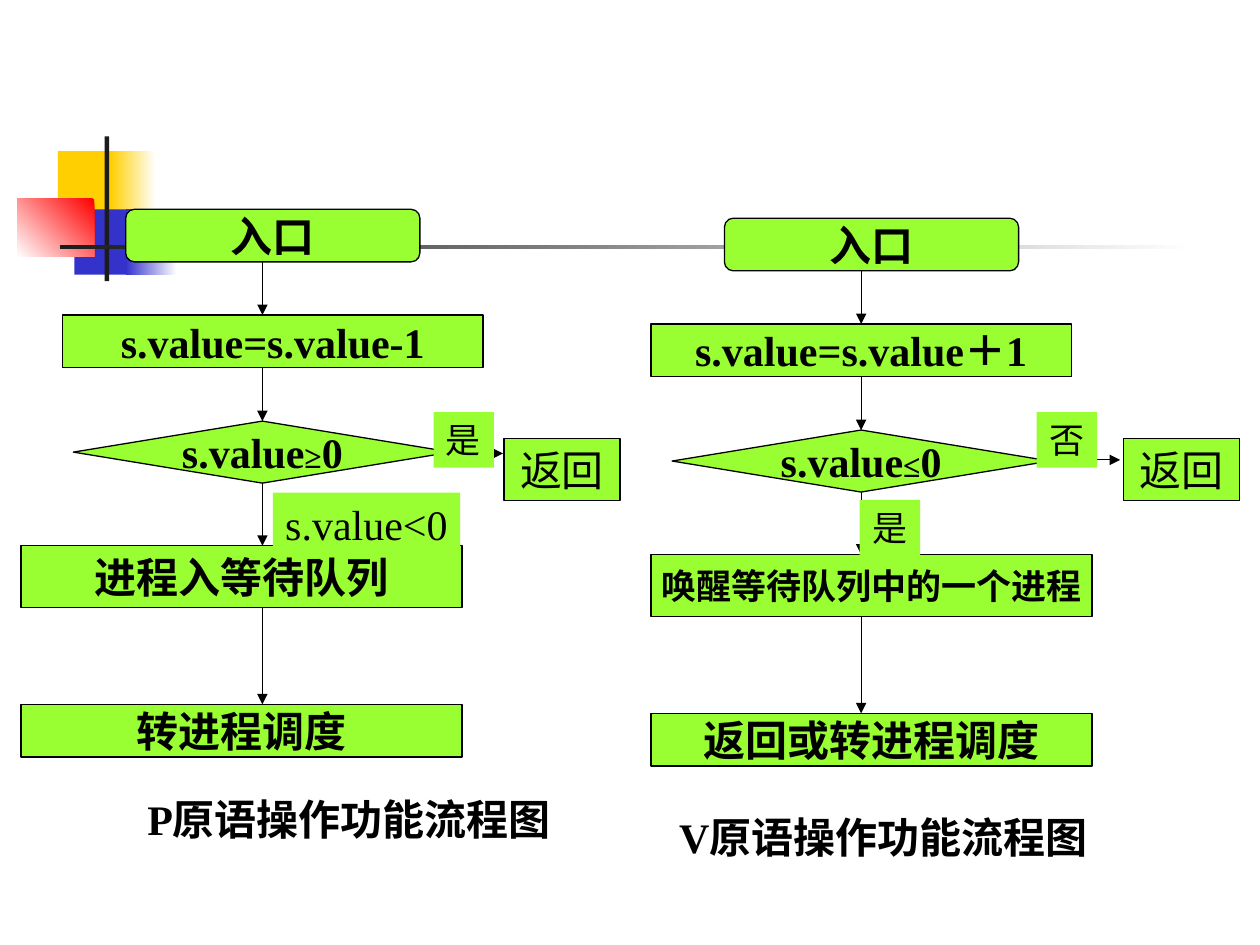
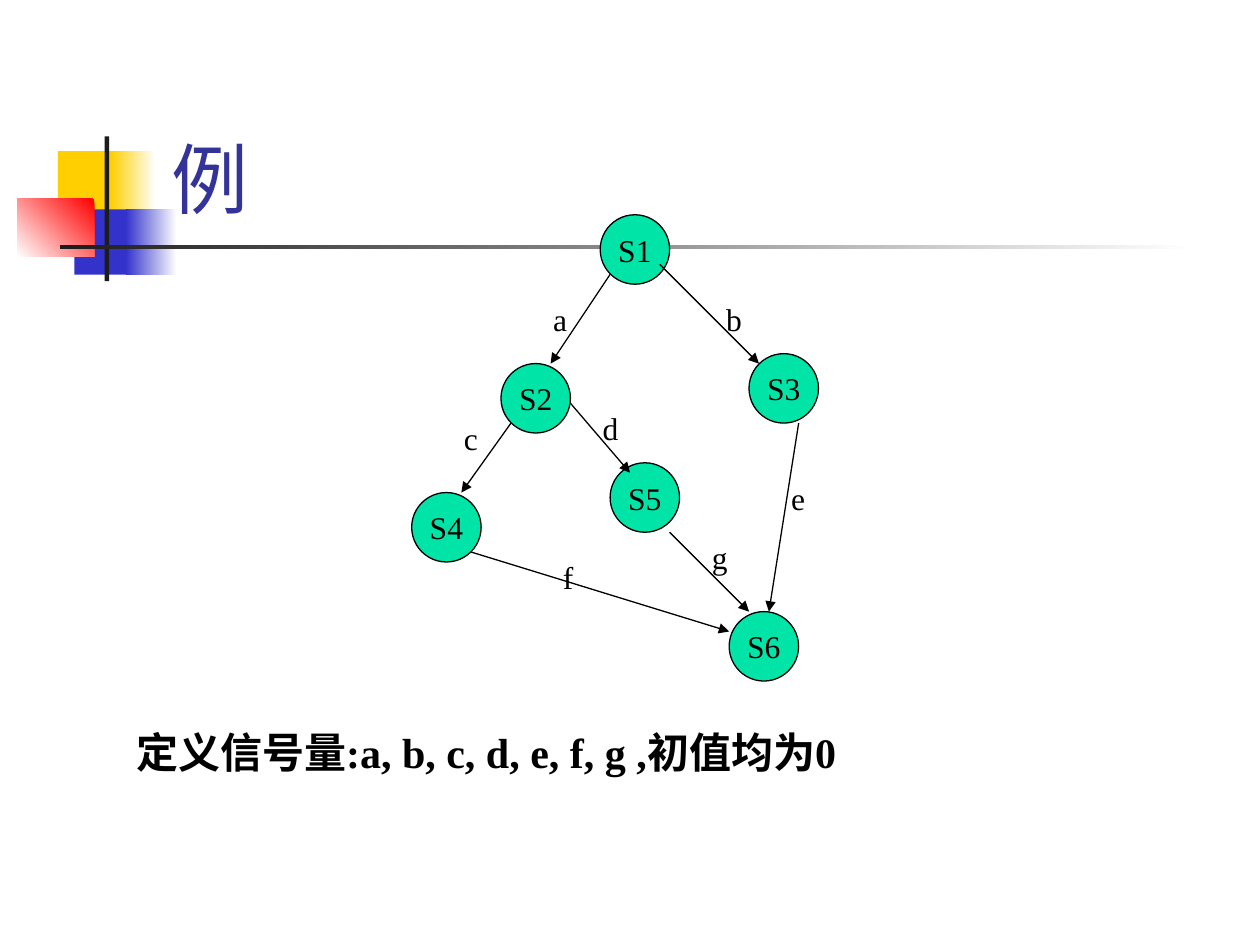
from itertools import pairwise

from lxml.etree import SubElement
from pptx import Presentation
from pptx.dml.color import RGBColor
from pptx.enum.shapes import MSO_CONNECTOR, MSO_SHAPE
from pptx.enum.text import MSO_ANCHOR, PP_ALIGN
from pptx.oxml.ns import qn
from pptx.util import Cm, Pt

HUES = {
    "ink": "000000", "lime": "99FF33", "mint": "00E4A8", "title": "333399",
    "gold": "FFCF01", "blue": "3333CC", "red": "FF0000",
    "dark": "1C1C1C", "white": "FFFFFF",
}
SERIF, SANS = "Times New Roman", "Lato"
RECT = MSO_SHAPE.RECTANGLE
STEP = MSO_SHAPE.FLOWCHART_PROCESS

# Flow chart rows: shape, top, width, height
ROWS = [
    (MSO_SHAPE.FLOWCHART_ALTERNATE_PROCESS, 0, 5.93, 1.06),
    (STEP, 2.13, 8.47, 1.06),
    (MSO_SHAPE.FLOWCHART_DECISION, 4.27, 7.62, 1.25),
    (STEP, 6.78, 8.89, 1.25),
    (STEP, 9.98, 8.89, 1.06),
]

# For each flow: runs and shift from the axis per row; the rest is
# placed from the axis and the top of the flow.
FLOWS = [
    dict(
        axis=5.29, top=4.22,
        rows=[
            ([("入口", 24)], 0.21),
            ([("s.value=s.value-1", 24)], 0.21),
            ([("s.value", 24), ("≥", 18), ("0", 24)], 0),
            ([("进程入等待队列", 24)], -0.42),
            ([("转进程调度", 24)], -0.42),
        ],
        exit=(4.87, 4.62), arrow=(3.63, 4.85, 4.92),
        tags=[("s.value<0", 24, 0.21, 5.71, 3.78, 1.27),
              ("是", 20, 3.45, 4.09, 1.22, 1.12)],
        name=("P原语操作功能流程图", -2.57, 11.66, 8.84),
    ),
    dict(
        axis=17.36, top=4.4,
        rows=[
            ([("入口", 24)], 0.21),
            ([("s.value=s.value＋1", 24)], 0),
            ([("s.value", 24), ("≤", 18), ("0", 24)], 0),
            ([("唤醒等待队列中的一个进程", 20)], 0.21),
            ([("返回或转进程调度", 24)], 0.21),
        ],
        exit=(5.29, 4.44), arrow=(3.7, 5.22, 4.87),
        tags=[("是", 20, -0.03, 5.68, 1.22, 1.12),
              ("否", 20, 3.54, 3.91, 1.22, 1.12)],
        name=("V原语操作功能流程图", -3.92, 11.83, 8.94),
    ),
]

DISC = 1.4
NODES = [("S1", 3.8, 0), ("S3", 6.8, 2.8), ("S2", 1.8, 3),
         ("S5", 4, 5), ("S4", 0, 5.6), ("S6", 6.4, 8)]
# Letter, arrow start and end, label left, top and width
EDGES = [
    ("a", (4, 1.2), (2.8, 3), (2.6, 1.6, 0.6)),
    ("b", (5, 1), (7, 3), (6, 1.6, 1)),
    ("c", (2, 4.2), (1, 5.6), (0.8, 4, 0.6)),
    ("d", (3.2, 3.8), (4.4, 5.2), (3.6, 3.8, 0.6)),
    ("e", (7.8, 4.2), (7.2, 8), (7.4, 5.2, 0.6)),
    ("f", (1.2, 6.8), (6.4, 8.4), (2.8, 6.8, 0.6)),
    ("g", (5.2, 6.4), (6.8, 8), (5.8, 6.4, 0.6)),
]


def hue(name):
    return RGBColor.from_string(HUES[name])


def write(shape, runs, bold=False, color="ink", font=SERIF, mid=True,
          wrap=False, anchor=MSO_ANCHOR.MIDDLE):
    frame = shape.text_frame
    frame.word_wrap = wrap
    frame.vertical_anchor = anchor
    para = frame.paragraphs[0]
    para.alignment = PP_ALIGN.CENTER if mid else PP_ALIGN.LEFT
    for text, size in runs:
        run = para.add_run()
        run.text = text
        run.font.size = Pt(size)
        run.font.bold = bold
        run.font.name = font
        run.font.color.rgb = hue(color)


def block(slide, kind, box, fill, edge=True):
    shape = slide.shapes.add_shape(kind, *map(Cm, box))
    shape.shadow.inherit = False
    shape.fill.solid()
    shape.fill.fore_color.rgb = hue(fill)
    if edge:
        shape.line.color.rgb = hue("ink")
        shape.line.width = Pt(0.75)
    else:
        shape.line.fill.background()
    return shape


def fade(slide, box, start, end, angle=180):
    """Add a borderless rectangle with a two-colour gradient."""
    shape = block(slide, RECT, box, start, False)
    shape.fill.gradient()
    shape.fill.gradient_angle = angle
    for stop, name in zip(shape.fill.gradient_stops, (start, end)):
        stop.color.rgb = hue(name)


def label(slide, box, runs, **style):
    shape = slide.shapes.add_textbox(*map(Cm, box))
    write(shape, runs, **{"anchor": MSO_ANCHOR.TOP, **style})


def arrow(slide, start, end):
    line = slide.shapes.add_connector(
        MSO_CONNECTOR.STRAIGHT, *map(Cm, (*start, *end)))
    line.line.color.rgb = hue("ink")
    line.line.width = Pt(0.75)
    SubElement(line.line._get_or_add_ln(), qn("a:tailEnd"), type="triangle")
    SubElement(line._element.spPr, qn("a:effectLst"))


def band(slide):
    """Draw the coloured squares and rules shared by all slides."""
    block(slide, RECT, (1.17, 3.05, 1.22, 1.32), "gold", False)
    fade(slide, (2.23, 3.05, 0.91, 1.32), "white", "gold")
    block(slide, RECT, (1.5, 4.22, 1.17, 1.32), "blue", False)
    fade(slide, (2.54, 4.22, 1.02, 1.32), "white", "blue")
    fade(slide, (0.35, 4.01, 1.55, 1.17), "red", "white", 225)
    block(slide, RECT, (2.11, 2.75, 0.09, 2.92), "dark", False)
    fade(slide, (1.22, 4.94, 22.86, 0.09), "white", "dark")


def flow(slide, axis, top, rows, exit, arrow_at, tags, name):
    for (kind, y, wide, high), (runs, shift) in zip(ROWS, rows):
        box = (axis + shift - wide / 2, top + y, wide, high)
        write(block(slide, kind, box, "lime"), runs, bold=True)
    for (_, y, _, high), (_, below, _, _) in pairwise(ROWS):
        arrow(slide, (axis, top + y + high), (axis, top + below))
    x, y = exit
    box = (axis + x, top + y, 2.34, 1.25)
    write(block(slide, STEP, box, "lime"), [("返回", 24)])
    start, end, y = arrow_at
    arrow(slide, (axis + start, top + y), (axis + end, top + y))
    for text, size, x, y, wide, high in tags:
        box = (axis + x, top + y, wide, high)
        write(block(slide, RECT, box, "lime", False), [(text, size)],
              mid=False, anchor=MSO_ANCHOR.TOP)
    text, x, y, wide = name
    label(slide, (axis + x, top + y, wide, 1.27), [(text, 24)],
          bold=True, mid=False)


def graph(slide, left, top):
    for name, x, y in NODES:
        disc = block(slide, MSO_SHAPE.OVAL,
                     (left + x, top + y, DISC, DISC), "mint")
        write(disc, [(name, 18)])
    for letter, start, end, (x, y, wide) in EDGES:
        arrow(slide, *((left + a, top + b) for a, b in (start, end)))
        label(slide, (left + x, top + y, wide, 1.02), [(letter, 18)],
              wrap=True)


def main():
    deck = Presentation()
    deck.slide_width, deck.slide_height = Cm(25.4), Cm(19.05)
    charts, sample = [deck.slides.add_slide(deck.slide_layouts[6])
                      for _ in range(2)]
    band(charts)
    for part in FLOWS:
        flow(charts, part["axis"], part["top"], part["rows"], part["exit"],
             part["arrow"], part["tags"], part["name"])
    band(sample)
    label(sample, (3.2, 0.58, 21.64, 4.06), [("例", 44)], color="title",
          font=SANS, mid=False, wrap=True, anchor=MSO_ANCHOR.BOTTOM)
    graph(sample, 8.3, 4.33)
    label(sample, (1.3, 14.53, 17, 1.27),
          [("定义信号量:a, b, c, d, e, f, g ,初值均为0", 24)],
          bold=True, wrap=True)
    deck.save("out.pptx")


if __name__ == "__main__":
    main()
